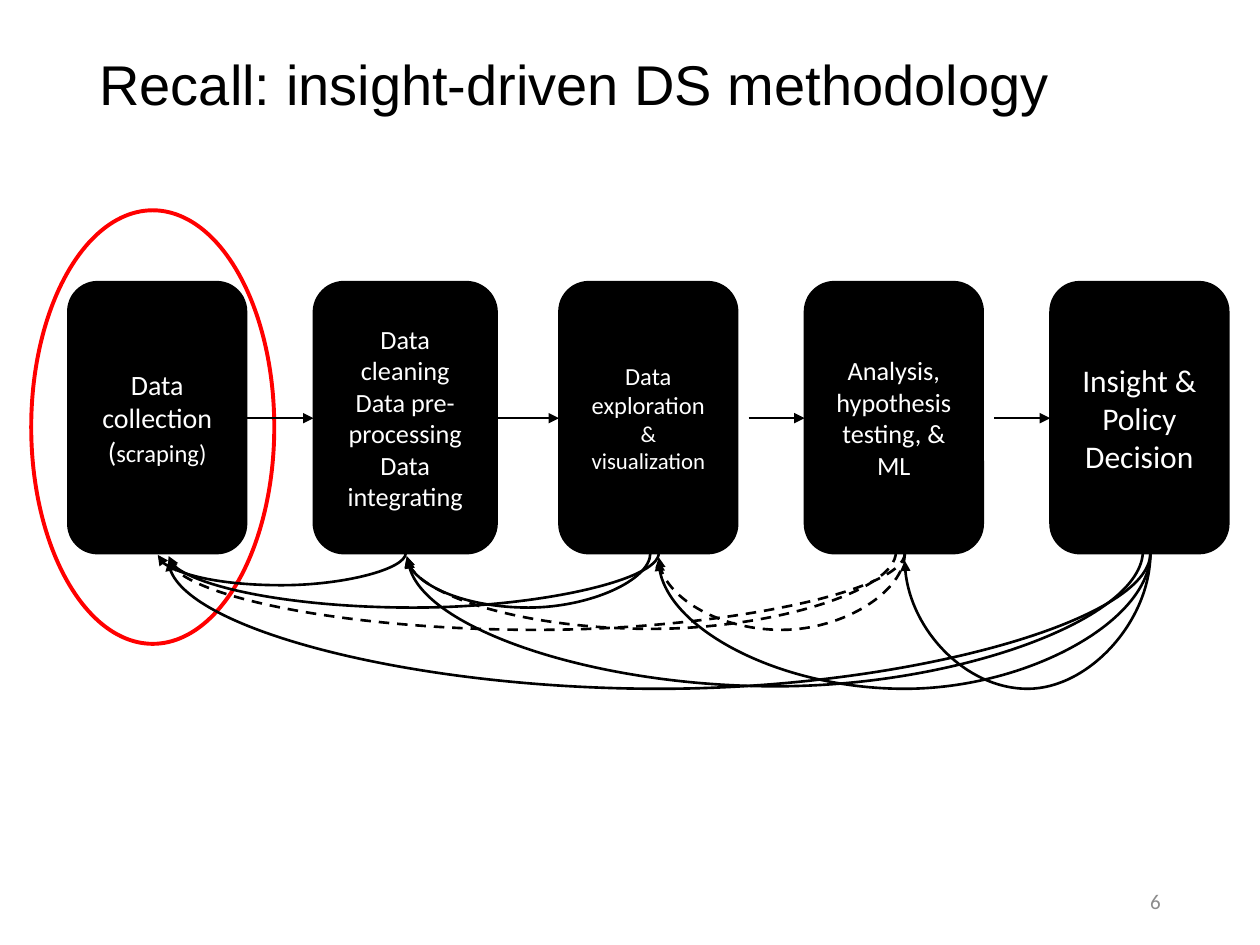
"""Build the slide on the insight-driven data science methodology."""
import dataclasses
import typing

import lxml.etree
import pptx
import pptx.dml.color
import pptx.enum.dml
import pptx.enum.shapes
import pptx.enum.text
import pptx.oxml.ns
import pptx.util

Cm = pptx.util.Cm
Pt = pptx.util.Pt
Shape = pptx.enum.shapes.MSO_SHAPE
Link = pptx.enum.shapes.MSO_CONNECTOR
Align = pptx.enum.text.PP_ALIGN
Middle = pptx.enum.text.MSO_ANCHOR.MIDDLE

BLACK, WHITE, RED, GRAY = "000000", "FFFFFF", "FF0000", "8C8C8C"
LEFT, STEP, TOP, HIGH = 1.37, 4.95, 5.68, 5.48
MID = 8.43
RATIO = 18


@dataclasses.dataclass
class Step:
    lines: list[list[tuple[str, float]]]
    width: float = 3.6
    gap: float = 0


@dataclasses.dataclass
class Loop:
    start: float
    end: float
    dip: float
    top: float = 11.15
    dash: bool = False


STEPS = [
    Step([[("Data collection (", 16), ("scraping)", 14)]]),
    Step([[("Data cleaning Data pre-processing", 15)], [("Data integrating", 15)]], 3.7, 1.35),
    Step([[("Data exploration", 14)], [("&", 13)], [("visualization", 13)]], gap=1.24),
    Step([[("Analysis, hypothesis testing, & ML", 15)]], gap=1.13),
    Step([[("Insight & Policy Decision", 18)]], gap=1.13),
]

LOOPS = [
    Loop(8.18, 3.18, 0.64),
    Loop(13.11, 8.2, 1.09),
    Loop(13.28, 3.4, 1.09),
    Loop(18.24, 13.28, 1.55, dash=True),
    Loop(18.06, 8.2, 1.55, 11.13, True),
    Loop(18.24, 3.4, 1.55, dash=True),
    Loop(23.19, 18.24, 2.74),
    Loop(23.19, 13.28, 2.74),
    Loop(23.04, 8.23, 2.74, 11.1),
    Loop(23.19, 3.4, 2.74),
]


def paint(code: str) -> pptx.dml.color.RGBColor:
    return pptx.dml.color.RGBColor.from_string(code)


def style(font: typing.Any, name: str, size: float, color: str) -> None:
    font.name, font.size = name, Pt(size)
    font.color.rgb = paint(color)


def outline(line: typing.Any, color: str, width: float) -> None:
    line.color.rgb = paint(color)
    line.width = Pt(width)


def child(node: typing.Any, tag: str, **attrs: str) -> typing.Any:
    return lxml.etree.SubElement(node, pptx.oxml.ns.qn(tag), attrs)


def draw_step(shapes: typing.Any, step: Step, left: float) -> None:
    box = shapes.add_shape(Shape.ROUNDED_RECTANGLE, Cm(left), Cm(TOP), Cm(step.width), Cm(HIGH))
    box.shadow.inherit = False
    box.fill.solid()
    box.fill.fore_color.rgb = paint(BLACK)
    outline(box.line, BLACK, 1)
    frame = box.text_frame
    frame.vertical_anchor = Middle
    for i, parts in enumerate(step.lines):
        para = frame.add_paragraph() if i else frame.paragraphs[0]
        para.alignment = Align.CENTER
        style(para.font, "Calibri", parts[0][1], WHITE)
        for text, size in parts:
            run = para.add_run()
            run.text = text
            style(run.font, "Calibri", size, WHITE)


def draw_link(shapes: typing.Any, kind: typing.Any, start: float, end: float,
              y: float, dash: bool = False) -> typing.Any:
    link = shapes.add_connector(kind, Cm(start), Cm(y), Cm(end), Cm(y))
    outline(link.line, BLACK, 1.5)
    if dash:
        link.line.dash_style = pptx.enum.dml.MSO_LINE.DASH
    child(link.line._get_or_add_ln(), "a:tailEnd", type="triangle")
    child(link.element.spPr, "a:effectLst")
    return link


def draw_loop(shapes: typing.Any, loop: Loop) -> None:
    drop, span = loop.dip / RATIO, loop.start - loop.end
    link = draw_link(shapes, Link.CURVE, loop.end, loop.start, loop.top, loop.dash)
    link.left = Cm((loop.start + loop.end - drop) / 2)
    link.top = Cm(loop.top + (drop - span) / 2)
    link.width, link.height = Cm(drop), Cm(span)
    props = link.element.spPr
    props.find(pptx.oxml.ns.qn("a:xfrm")).set("rot", "5400000")
    guides = props.find(".//" + pptx.oxml.ns.qn("a:avLst"))
    child(guides, "a:gd", name="adj1", fmla=f"val {RATIO * 100000}")


def main() -> None:
    deck = pptx.Presentation()
    deck.slide_width, deck.slide_height = Cm(25.4), Cm(19.05)
    slide = deck.slides.add_slide(deck.slide_layouts[5])
    shapes = slide.shapes

    title = shapes.title
    title.left, title.top, title.width, title.height = Cm(1.75), Cm(0.51), Cm(21.9), Cm(2.51)
    title.text_frame.text = "Recall: insight-driven DS methodology"
    title.text_frame.vertical_anchor = Middle
    para = title.text_frame.paragraphs[0]
    para.alignment, para.line_spacing = Align.LEFT, 0.9
    style(para.font, "Arial", 32, BLACK)

    number = shapes.add_textbox(Cm(17.93), Cm(17.65), Cm(5.72), Cm(1.02)).text_frame
    number.word_wrap = True
    number.vertical_anchor = Middle
    number.text = "6"
    number.paragraphs[0].alignment = Align.RIGHT
    style(number.paragraphs[0].font, "Calibri", 12, GRAY)

    ring = shapes.add_shape(Shape.OVAL, Cm(0.63), Cm(4.24), Cm(4.9), Cm(8.74))
    ring.shadow.inherit = False
    ring.fill.background()
    outline(ring.line, RED, 2.25)

    for i, step in enumerate(STEPS):
        left = LEFT + i * STEP
        draw_step(shapes, step, left)
        if step.gap:
            draw_link(shapes, Link.STRAIGHT, left - step.gap, left, MID)
    for loop in LOOPS:
        draw_loop(shapes, loop)

    deck.save("out.pptx")


if __name__ == "__main__":
    main()
